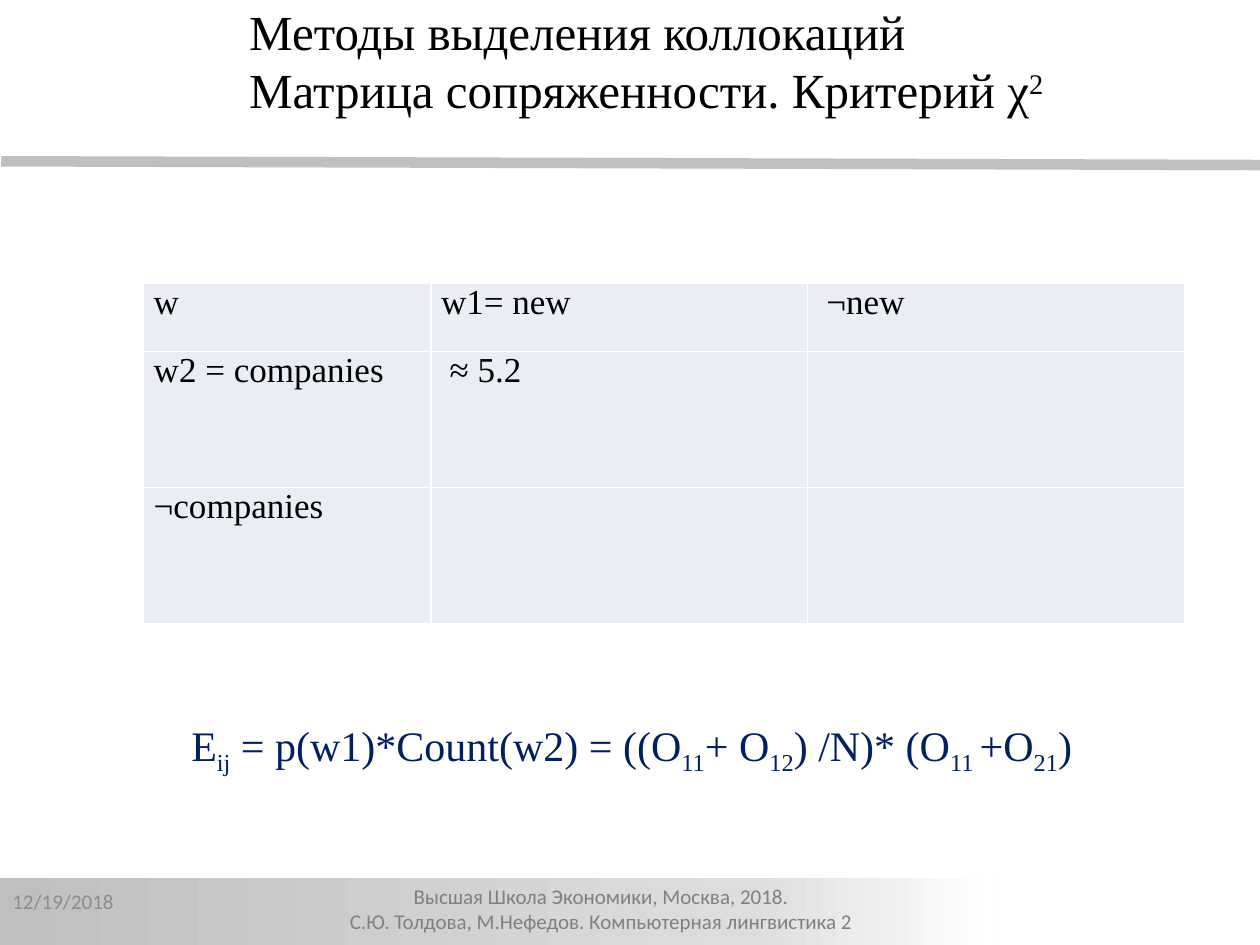
from copy import deepcopy
from typing import NamedTuple

from lxml.etree import SubElement
from pptx import Presentation
from pptx.dml.color import RGBColor
from pptx.enum.shapes import MSO_CONNECTOR, MSO_SHAPE
from pptx.enum.text import MSO_ANCHOR, PP_ALIGN
from pptx.oxml.ns import qn
from pptx.util import Inches, Pt

SERIF = "Times New Roman"
SANS = "Calibri"
SUB, SUPER = -25, 30


class Script(NamedTuple):
    """A lowered or raised run; baseline is a percentage of the text size."""
    text: str
    baseline: int


class TextBlock(NamedTuple):
    box: tuple[float, float, float, float]
    lines: list[list[str | Script]]
    style: dict


def rgb(value: str) -> RGBColor:
    return RGBColor.from_string(value)


def write(frame, lines, *, size, font=SERIF, color="000000",
          align=PP_ALIGN.LEFT, anchor=MSO_ANCHOR.TOP) -> None:
    frame.word_wrap = True
    frame.vertical_anchor = anchor
    for number, pieces in enumerate(lines):
        paragraph = frame.paragraphs[0] if number == 0 else frame.add_paragraph()
        paragraph.alignment = align
        for piece in pieces:
            run = paragraph.add_run()
            run.font.size = Pt(size)
            run.font.name = font
            run.font.color.rgb = rgb(color)
            if isinstance(piece, Script):
                run.text = piece.text
                run.font._element.set("baseline", str(piece.baseline * 1000))
            else:
                run.text = piece


def add_text(slide, block: TextBlock) -> None:
    area = slide.shapes.add_textbox(*map(Inches, block.box))
    write(area.text_frame, block.lines, **block.style)


def add_header_rule(slide) -> None:
    rule = slide.shapes.add_connector(
        MSO_CONNECTOR.STRAIGHT, Inches(0.01), Inches(1.28), Inches(10.02), Inches(1.31))
    rule.line.color.rgb = rgb("BFBFBF")
    rule.line.width = Pt(6)
    SubElement(rule._element.spPr, qn("a:effectLst"))


def add_footer_band(slide) -> None:
    band = slide.shapes.add_shape(
        MSO_SHAPE.RECTANGLE, Inches(-0.01), Inches(6.97), Inches(7.92), Inches(0.57))
    band.shadow.inherit = False
    band.line.fill.background()
    band.fill.gradient()
    band.fill.gradient_angle = 0
    stop_list = band._element.spPr.find(qn("a:gradFill")).find(qn("a:gsLst"))
    stop_list.append(deepcopy(stop_list[0]))
    shades = [(0, "BFBFBF"), (0.75, "DDDDDD"), (1, "FFFFFF")]
    for stop, (position, color) in zip(band.fill.gradient_stops, shades):
        stop.position = position
        stop.color.rgb = rgb(color)


def add_borders(cell, color: str, width: float) -> None:
    properties = cell._tc.get_or_add_tcPr()
    for index, side in enumerate(("a:lnL", "a:lnR", "a:lnT", "a:lnB")):
        border = properties.makeelement(qn(side), {"w": str(Pt(width))})
        fill = SubElement(border, qn("a:solidFill"))
        SubElement(fill, qn("a:srgbClr"), val=color)
        properties.insert(index, border)


def add_contingency_table(slide) -> None:
    rows = [
        ["w", "w1= new", " ¬new"],
        ["w2 = companies", " ≈ 5.2", ""],
        ["¬companies", "", ""],
    ]
    widths = [2.28, 2.99, 2.99]
    heights = [0.54, 1.08, 1.08]
    table = slide.shapes.add_table(
        len(rows), len(widths), Inches(1.14), Inches(2.25),
        Inches(sum(widths)), Inches(sum(heights))).table
    table.first_row = table.horz_banding = False
    for column, width in zip(table.columns, widths):
        column.width = Inches(width)
    for row, height, values in zip(table.rows, heights, rows):
        row.height = Inches(height)
        for cell, value in zip(row.cells, values):
            cell.margin_left = cell.margin_right = Inches(0.08)
            cell.margin_top = cell.margin_bottom = 0
            cell.fill.solid()
            cell.fill.fore_color.rgb = rgb("E9EDF4")
            add_borders(cell, "FFFFFF", 1)
            if value:
                write(cell.text_frame, [[value]], size=20)


FOOTER = TextBlock(
    (1.91, 6.96, 5.76, 0.45),
    [["Высшая Школа Экономики, Москва, 2018. "],
     ["С.Ю. Толдова, М.Нефедов. Компьютерная лингвистика 2 "]],
    dict(size=12, font=SANS, color="808080", align=PP_ALIGN.CENTER))
DATE = TextBlock(
    (0, 6.95, 2.33, 0.4), [["12/19/2018"]],
    dict(size=12, font=SANS, color="8C8C8C", anchor=MSO_ANCHOR.MIDDLE))
FORMULA = TextBlock(
    (1.42, 5.66, 7.84, 0.51),
    [["E", Script("ij", SUB), " = p(w1)*Count(w2) = ((O", Script("11", SUB),
      "+ O", Script("12", SUB), ") /N)* (O", Script("11 ", SUB),
      "+O", Script("21", SUB), ")"]],
    dict(size=24, color="002060"))
TITLE = TextBlock(
    (1.88, -0.04, 7.7, 1.04),
    [["Методы выделения коллокаций"],
     ["Матрица сопряженности. Критерий χ", Script("2", SUPER)]],
    dict(size=28))


def main() -> None:
    presentation = Presentation()
    presentation.slide_width = Inches(10)
    presentation.slide_height = Inches(7.5)
    slide = presentation.slides.add_slide(presentation.slide_layouts[6])
    add_header_rule(slide)
    add_footer_band(slide)
    add_text(slide, FOOTER)
    add_contingency_table(slide)
    for block in (DATE, FORMULA, TITLE):
        add_text(slide, block)
    presentation.save("out.pptx")


if __name__ == "__main__":
    main()
